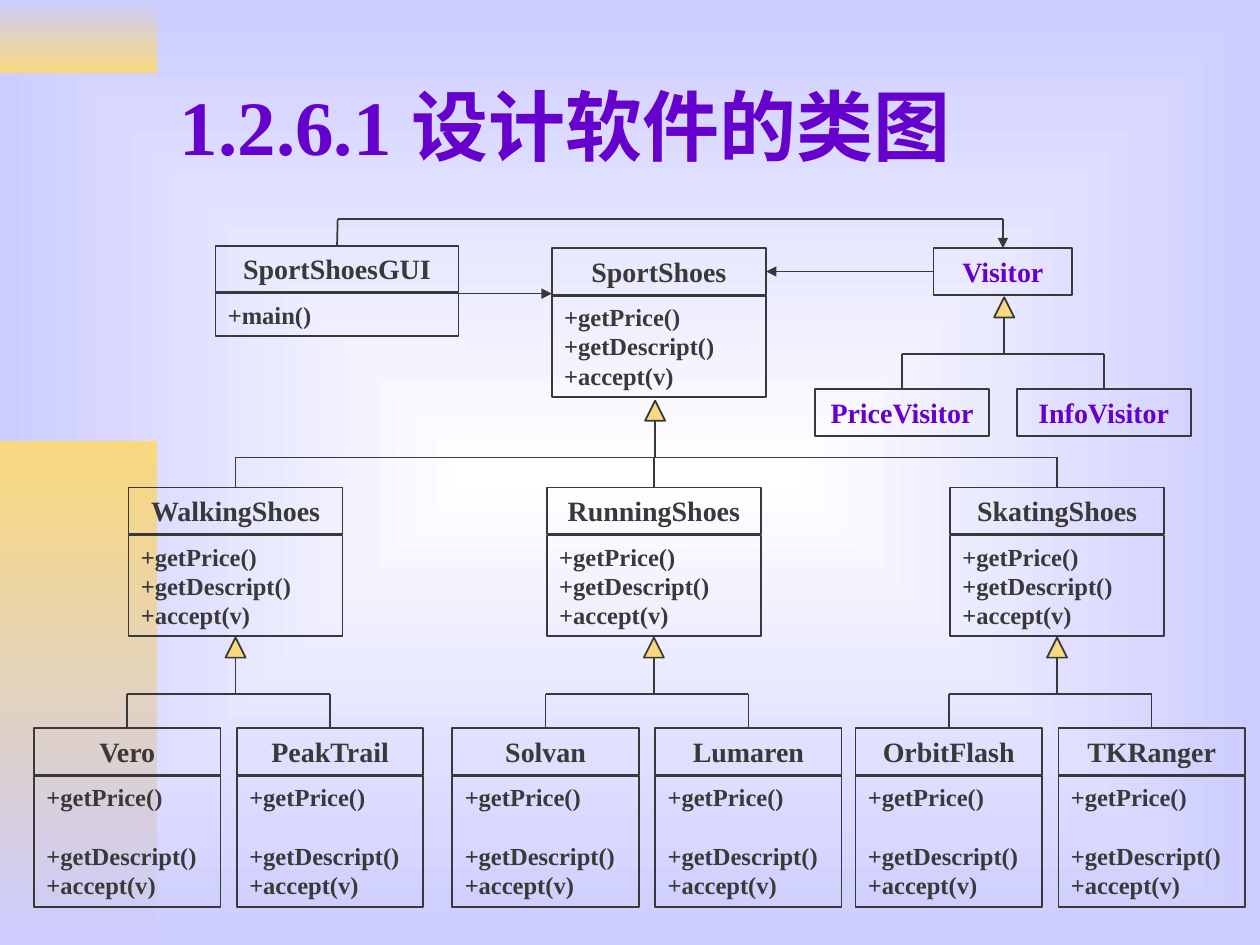
from lxml.etree import SubElement
from pptx import Presentation
from pptx.dml.color import RGBColor
from pptx.enum.shapes import MSO_CONNECTOR, MSO_SHAPE
from pptx.enum.text import MSO_ANCHOR, PP_ALIGN
from pptx.oxml.ns import qn
from pptx.util import Inches, Pt

INK = RGBColor(0x39, 0x39, 0x39)
PURPLE = RGBColor(0x66, 0x00, 0xCC)
GOLD = RGBColor(0xF9, 0xD8, 0x7E)
LILAC = RGBColor(0xCC, 0xCC, 0xFF)
WHITE = RGBColor(0xFF, 0xFF, 0xFF)
FONT = "Times New Roman"
METHODS = ["+getPrice()", "+getDescript()", "+accept(v)"]
HEAD = 0.37
STEP = 0.38
LINE = 16.75


def shade(fill, first, last):
    fill.gradient()
    for stop, color in zip(fill.gradient_stops, (first, last)):
        stop.color.rgb = color


def paint_back(slide):
    shade(slide.background.fill, WHITE, LILAC)
    grad = next(slide.element.iter(qn("a:gradFill")))
    grad.remove(grad.find(qn("a:lin")))
    route = SubElement(grad, qn("a:path"), {"path": "rect"})
    SubElement(route, qn("a:fillToRect"), dict.fromkeys("ltrb", "50000"))


def add_panel(slide, top, height, first, last):
    panel = slide.shapes.add_shape(
        MSO_SHAPE.RECTANGLE, 0, Inches(top), Inches(1.25), Inches(height))
    panel.shadow.inherit = False
    panel.line.fill.background()
    shade(panel.fill, first, last)
    panel.fill.gradient_angle = 270


def add_text(para, text, size, color):
    run = para.add_run()
    run.text = text
    font = run.font
    font.name, font.size, font.bold = FONT, Pt(size), True
    font.color.rgb = color


def add_title(slide, text):
    box = slide.shapes.add_textbox(Inches(1.33), Inches(0.33), Inches(8.5), Inches(1.32))
    frame = box.text_frame
    frame.word_wrap = True
    frame.vertical_anchor = MSO_ANCHOR.MIDDLE
    add_text(frame.paragraphs[0], text, 44, PURPLE)


def add_box(slide, x, y, width, height):
    box = slide.shapes.add_shape(
        MSO_SHAPE.RECTANGLE, Inches(x), Inches(y), Inches(width), Inches(height))
    box.shadow.inherit = False
    box.fill.background()
    box.line.color.rgb = INK
    box.line.width = Pt(1)
    box.text_frame.word_wrap = True
    box.text_frame.vertical_anchor = MSO_ANCHOR.TOP
    return box


def add_head(slide, name, x, y, width, color=INK):
    box = add_box(slide, x, y, width, HEAD)
    para = box.text_frame.paragraphs[0]
    para.alignment = PP_ALIGN.CENTER
    add_text(para, name, 16, color)
    return box


def add_class(slide, name, x, y, width, height, methods=METHODS, gap=0):
    body = add_box(slide, x, y + STEP, width, height)
    frame = body.text_frame
    for index, method in enumerate(methods):
        para = frame.add_paragraph() if index else frame.paragraphs[0]
        para.alignment = PP_ALIGN.LEFT
        para.line_spacing = Pt(LINE)
        if index == 1:
            para.space_before = Pt(gap)
        add_text(para, method, 14, INK)
    return add_head(slide, name, x, y, width)


def add_line(slide, start, end, arrow=False):
    line = slide.shapes.add_connector(
        MSO_CONNECTOR.STRAIGHT, *(Inches(v) for v in (*start, *end)))
    line.line.color.rgb = INK
    line.line.width = Pt(1)
    SubElement(line.element.spPr, qn("a:effectLst"))
    if arrow:
        SubElement(line.line._get_or_add_ln(), qn("a:tailEnd"), {"type": "triangle"})
    return line


def add_tree(slide, mid, top, rail, kids):
    tip = slide.shapes.add_shape(
        MSO_SHAPE.ISOSCELES_TRIANGLE,
        Inches(mid - 0.08), Inches(top), Inches(0.16), Inches(0.16))
    tip.shadow.inherit = False
    tip.fill.solid()
    tip.fill.fore_color.rgb = GOLD
    tip.line.color.rgb = INK
    tip.line.width = Pt(1)
    add_line(slide, (mid, top + 0.16), (mid, rail))
    spots = [(kid.left + kid.width / 2) / Inches(1) for kid in kids]
    add_line(slide, (spots[0], rail), (spots[-1], rail))
    for kid, spot in zip(kids, spots):
        add_line(slide, (spot, rail), (spot, rail + 0.2)).end_connect(kid, 0)


def add_shoes(slide):
    families = [
        ("WalkingShoes", 1.02, ("Vero", "PeakTrail")),
        ("RunningShoes", 4.34, ("Solvan", "Lumaren")),
        ("SkatingShoes", 7.54, ("OrbitFlash", "TKRanger")),
    ]
    kinds = []
    for name, x, makes in families:
        kinds.append(add_class(slide, name, x, 3.87, 1.7, 0.8))
        leaves = [
            add_class(slide, make, x + shift, 5.78, 1.48, 1.04, gap=LINE)
            for make, shift in zip(makes, (-0.75, 0.86))
        ]
        add_tree(slide, x + 0.85, 5.06, 5.51, leaves)
    shoes = add_class(slide, "SportShoes", 4.38, 1.97, 1.7, 0.8)
    add_tree(slide, 5.2, 3.18, 3.63, kinds)
    return shoes


def add_guests(slide):
    guest = add_head(slide, "Visitor", 7.41, 1.97, 1.1, PURPLE)
    kids = [
        add_head(slide, name, x, 3.09, 1.38, PURPLE)
        for name, x in (("PriceVisitor", 6.47), ("InfoVisitor", 8.07))
    ]
    add_tree(slide, 7.97, 2.36, 2.81, kids)
    return guest


def add_links(slide, shoes, guest, gui):
    link = add_line(slide, (7.41, 2.16), (6.08, 2.16), True)
    link.begin_connect(guest, 1)
    link.end_connect(shoes, 3)
    add_line(slide, (3.64, 2.33), (4.38, 2.33), True)
    add_line(slide, (2.68, 1.95), (2.68, 1.74)).begin_connect(gui, 0)
    add_line(slide, (2.68, 1.74), (7.96, 1.74))
    add_line(slide, (7.96, 1.74), (7.96, 1.97), True).end_connect(guest, 0)


def main():
    deck = Presentation()
    deck.slide_width, deck.slide_height = Inches(10), Inches(7.5)
    slide = deck.slides.add_slide(deck.slide_layouts[6])
    paint_back(slide)
    add_panel(slide, 0, 0.58, LILAC, GOLD)
    add_panel(slide, 3.5, 4, GOLD, LILAC)
    add_title(slide, "1.2.6.1 设计软件的类图")
    shoes = add_shoes(slide)
    guest = add_guests(slide)
    gui = add_class(slide, "SportShoesGUI", 1.71, 1.95, 1.93, 0.34, ["+main()"])
    add_links(slide, shoes, guest, gui)
    deck.save("out.pptx")


if __name__ == "__main__":
    main()
